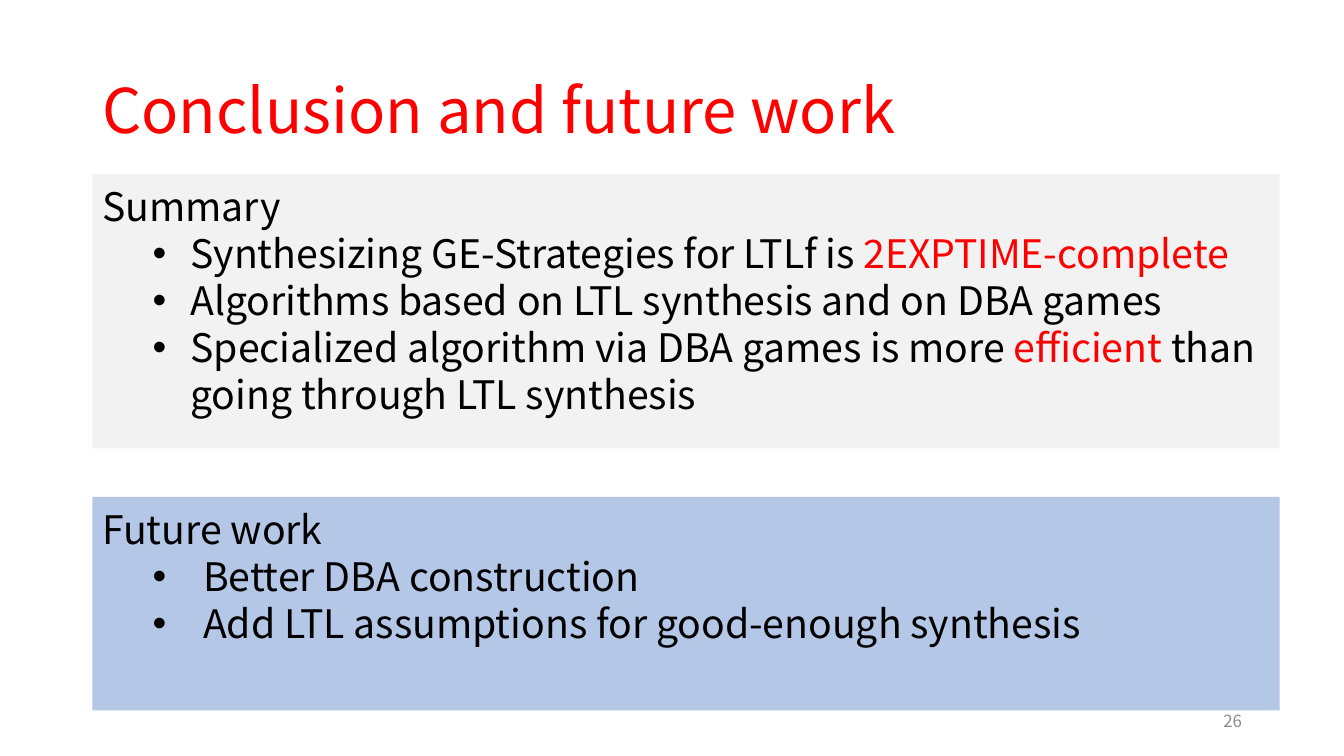
from lxml import etree
from pptx import Presentation
from pptx.dml.color import RGBColor
from pptx.enum.shapes import MSO_SHAPE
from pptx.enum.text import MSO_ANCHOR, PP_ALIGN
from pptx.oxml.ns import qn
from pptx.util import Cm, Pt

RECTANGLE = MSO_SHAPE.RECTANGLE
TOP, MIDDLE = MSO_ANCHOR.TOP, MSO_ANCHOR.MIDDLE
LEFT, RIGHT = PP_ALIGN.LEFT, PP_ALIGN.RIGHT
FONT = "Noto Sans CJK SC"
BLACK, RED, GRAY = "000000", "FF0000", "8C8C8C"
PANEL_LEFT, PANEL_WIDTH = 2.33, 29.92

SUMMARY = [
    [("Synthesizing GE-Strategies for LTLf is ", BLACK), ("2EXPTIME-complete", RED)],
    [("Algorithms based on LTL synthesis and on DBA games", BLACK)],
    [("Specialized algorithm via DBA games is more ", BLACK), ("efficient", RED),
     (" than going through LTL synthesis", BLACK)],
]
FUTURE_WORK = [
    [("Better DBA construction", BLACK)],
    [("Add LTL assumptions for good-enough synthesis", BLACK)],
]


def color(hex_string):
    """Turn a hex string into a colour."""
    return RGBColor.from_string(hex_string)


def apply_format(target, values):
    """Set every attribute named in a dict of format values."""
    for name, value in values.items():
        setattr(target, name, value)


def add_spans(para, spans, size):
    """Add coloured spans of text to a paragraph."""
    for text, hex_string in spans:
        span = para.add_run()
        span.text = text
        apply_format(span.font, {"name": FONT, "size": Pt(size)})
        span.font.color.rgb = color(hex_string)


def add_bullet(para, indent, hanging):
    """Give a paragraph a round bullet and a hanging indent."""
    properties = para._p.get_or_add_pPr()
    properties.set("marL", str(Cm(indent)))
    properties.set("indent", str(-Cm(hanging)))
    etree.SubElement(properties, qn("a:buFont")).set("typeface", "Arial")
    etree.SubElement(properties, qn("a:buChar")).set("char", "•")


def fill_line(shape, spans, size, alignment, line_spacing):
    """Write one vertically centred line of text into a shape."""
    apply_format(shape.text_frame, {"word_wrap": True, "vertical_anchor": MIDDLE})
    para = shape.text_frame.paragraphs[0]
    apply_format(para, {"alignment": alignment, "line_spacing": line_spacing})
    add_spans(para, spans, size)


def add_panel(page, top, height, fill, heading, items, indent, hanging):
    """Add a filled panel with a heading and a bulleted list."""
    box = page.shapes.add_shape(RECTANGLE, Cm(PANEL_LEFT), Cm(top),
                                Cm(PANEL_WIDTH), Cm(height))
    box.shadow.inherit = False
    box.fill.solid()
    box.fill.fore_color.rgb = color(fill)
    box.line.fill.background()
    frame = box.text_frame
    apply_format(frame, {"word_wrap": True, "vertical_anchor": TOP,
                         "margin_top": Cm(0.21)})
    for number, spans in enumerate([[(heading, BLACK)], *items]):
        para = frame.add_paragraph() if number else frame.paragraphs[0]
        apply_format(para, {"alignment": LEFT, "line_spacing": Pt(33.6)})
        if number:
            para.level = 1
            add_bullet(para, indent, hanging)
        add_spans(para, spans, 28)


def main():
    """Build the conclusion slide."""
    deck = Presentation()
    apply_format(deck, {"slide_width": Cm(33.87), "slide_height": Cm(19.05)})
    page = deck.slides.add_slide(deck.slide_layouts[6])
    title = page.shapes.add_textbox(Cm(PANEL_LEFT), Cm(1.02), Cm(31.17), Cm(3.68))
    fill_line(title, [("Conclusion and future work", RED)], 44, LEFT, 0.9)
    number = page.shapes.add_textbox(Cm(23.93), Cm(17.65), Cm(7.62), Cm(1.02))
    fill_line(number, [("26", GRAY)], 12, RIGHT, 1.0)
    add_panel(page, 4.39, 6.91, "F2F2F2", "Summary", SUMMARY, 2.22, 0.95)
    add_panel(page, 12.52, 5.38, "B4C7E7", "Future work", FUTURE_WORK, 2.54, 1.27)
    deck.save("out.pptx")


if __name__ == "__main__":
    main()
